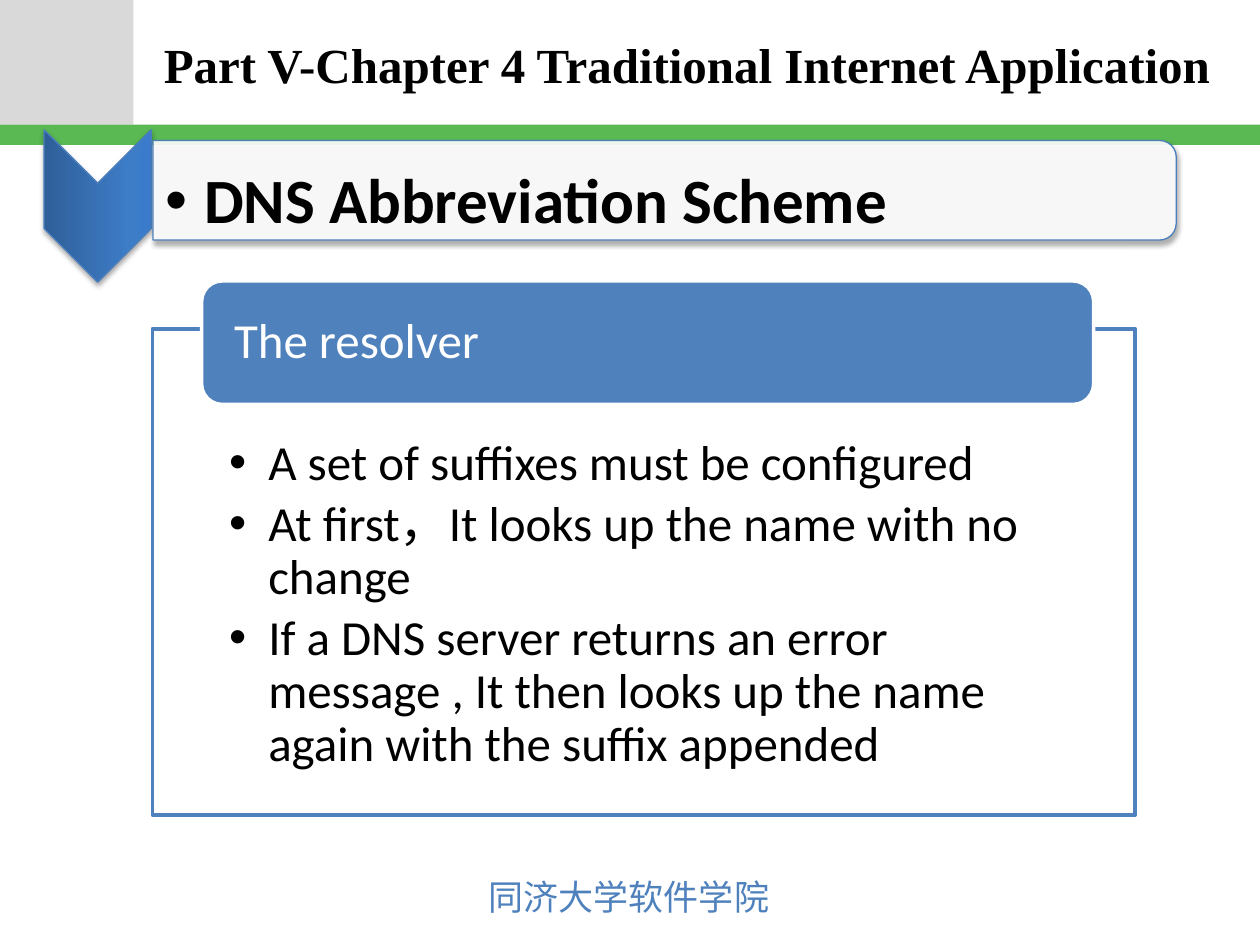
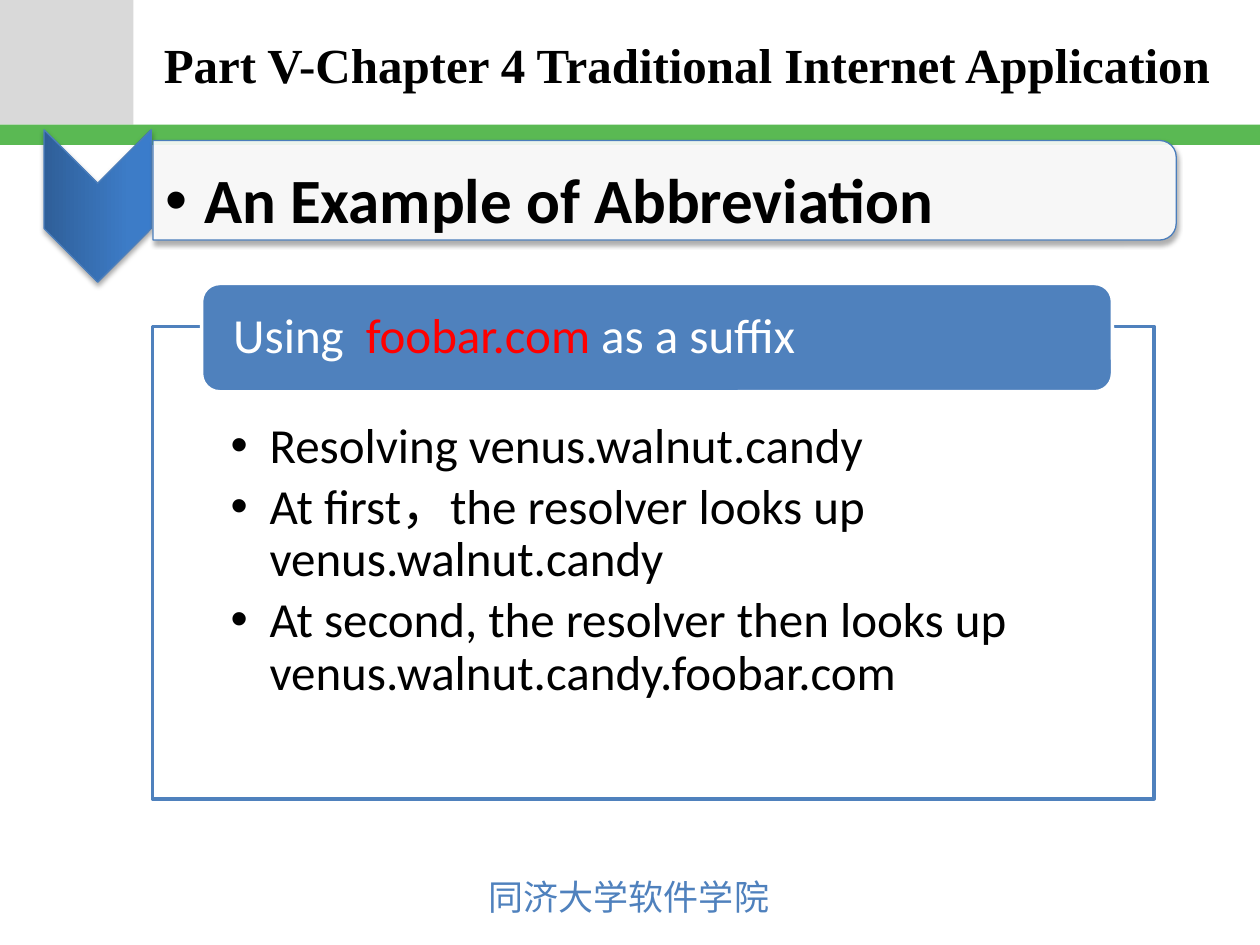
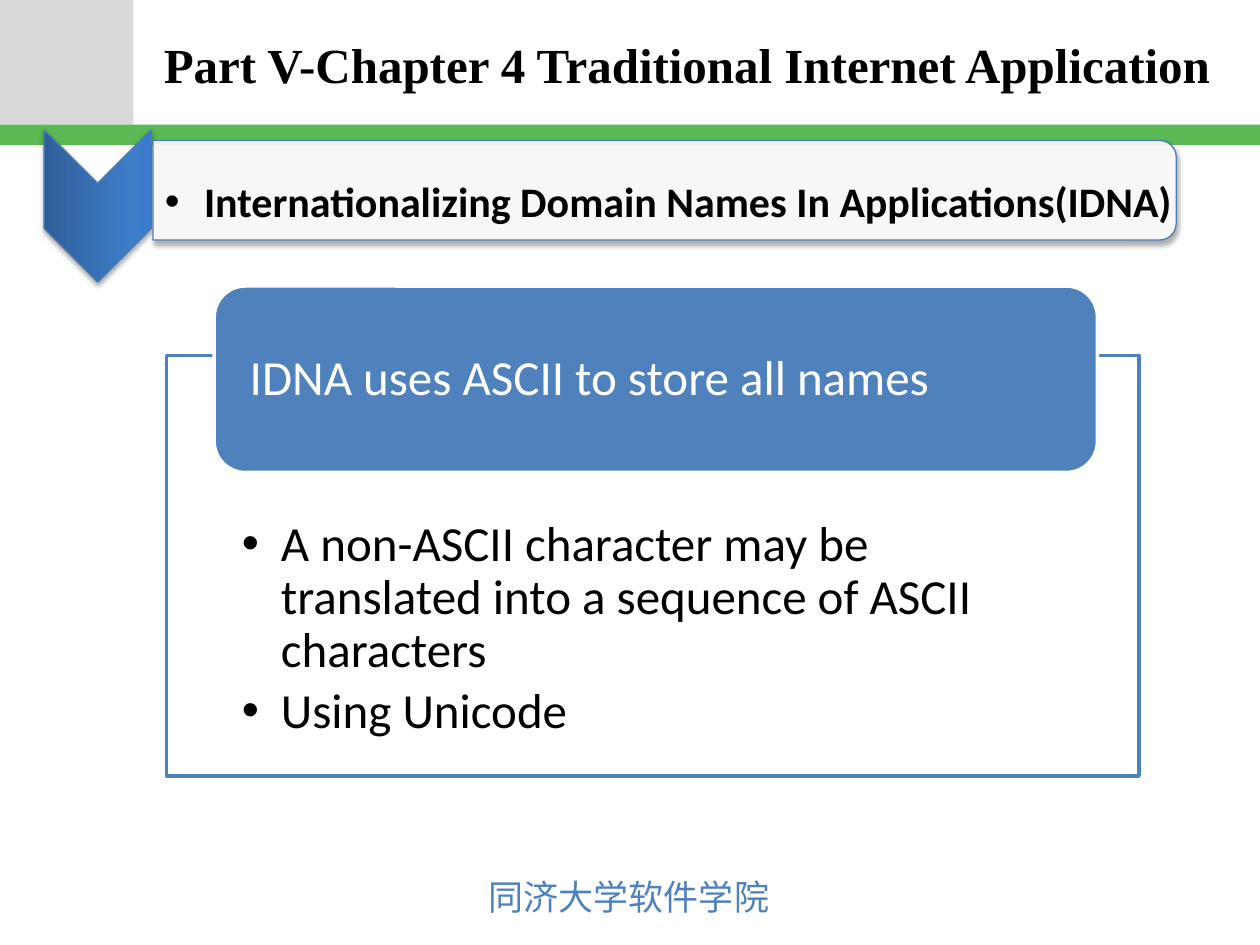
from lxml import etree
from pptx import Presentation
from pptx.dml.color import RGBColor
from pptx.enum.shapes import MSO_SHAPE as Preset
from pptx.enum.text import MSO_ANCHOR as Anchor, PP_ALIGN as Align
from pptx.oxml.ns import qn
from pptx.util import Inches, Pt

COLORS = {
    "white": "FFFFFF", "black": "000000", "red": "FF0000",
    "corner": "D9D9D9", "green": "5AB953", "blue": "4F81BD",
    "edge": "4B7EBC",
}
CHEVRON_STOPS = [(0, "2F5F99"), (80, "3D7CC7"), (100, "3A7CCB")]
BODY_FONT, TITLE_FONT, FOOTER_FONT = "Calibri", "Times New Roman", "Noto Sans CJK JP"
CHAPTER = "Part V-Chapter 4 Traditional Internet Application"
SCHOOL = "同济大学软件学院"


def add_xml(parent, tag, **attributes):
    return etree.SubElement(parent, qn(tag), {k: str(v) for k, v in attributes.items()})


class Deck:
    """Holds the style and the slide being drawn."""

    def __init__(self):
        self.prs = Presentation()
        self.prs.slide_width, self.prs.slide_height = Inches(10), Inches(7.5)
        self.slide = None

    # Basic elements
    def shape(self, preset, box, fill=None, line=None, weight=0.75):
        item = self.slide.shapes.add_shape(preset, *map(Inches, box))
        item.shadow.inherit = False
        if fill:
            item.fill.solid()
            item.fill.fore_color.rgb = RGBColor.from_string(COLORS[fill])
        if line:
            item.line.color.rgb = RGBColor.from_string(COLORS[line])
            item.line.width = Pt(weight)
        else:
            item.line.fill.background()
        return item

    def textbox(self, box):
        return self.slide.shapes.add_textbox(*map(Inches, box))

    def frame(self, holder, insets, anchor, wrap=True):
        text = holder.text_frame
        text.word_wrap, text.vertical_anchor = wrap, anchor
        (text.margin_left, text.margin_top,
         text.margin_right, text.margin_bottom) = map(Inches, insets)
        return text

    def run(self, paragraph, words, size, color="black", font=BODY_FONT, bold=False):
        run = paragraph.add_run()
        run.text = words
        run.font.name, run.font.size, run.font.bold = font, Pt(size), bold
        run.font.color.rgb = RGBColor.from_string(COLORS[color])
        return run

    def bullets(self, text, items, size, bold=False):
        for index, words in enumerate(items):
            paragraph = text.add_paragraph() if index else text.paragraphs[0]
            props = paragraph._p.get_or_add_pPr()
            props.set("marL", str(Inches(0.31)))
            props.set("indent", str(-Inches(0.31)))
            add_xml(props, "a:buFont", typeface="Arial")
            add_xml(props, "a:buChar", char="•")
            paragraph.alignment = Align.LEFT
            paragraph.line_spacing = 0.9
            paragraph.space_after = Pt(4.5)
            self.run(paragraph, words, size, bold=bold)

    # Effects
    def translucent(self, item):
        color = item._element.spPr.find(qn("a:solidFill"))[0]
        add_xml(color, "a:alpha", val=90000)

    def drop_shadow(self, item):
        effects = item._element.spPr.find(qn("a:effectLst"))
        shadow = add_xml(effects, "a:outerShdw", blurRad=Pt(3.1), dist=Pt(1.8),
                         dir=5400000, rotWithShape=0)
        add_xml(add_xml(shadow, "a:srgbClr", val=COLORS["black"]), "a:alpha", val=35000)

    def chevron_gradient(self, item):
        item.fill.gradient()
        item.fill.gradient_angle = 90
        stops = item._element.spPr.find(qn("a:gradFill")).find(qn("a:gsLst"))
        for stop in list(stops):
            stops.remove(stop)
        for position, color in CHEVRON_STOPS:
            add_xml(add_xml(stops, "a:gs", pos=position * 1000), "a:srgbClr", val=color)

    # Slide parts
    def new_slide(self):
        self.slide = self.prs.slides.add_slide(self.prs.slide_layouts[5])
        self.shape(Preset.RECTANGLE, (0, 0, 1.06, 0.99), "corner")
        self.shape(Preset.RECTANGLE, (0, 0.99, 10, 0.16), "green")

        school = self.frame(self.textbox((3.78, 6.9, 2.45, 0.44)),
                            (0.1, 0.05, 0.1, 0.05), Anchor.TOP, wrap=False)
        school_run = self.run(school.paragraphs[0], SCHOOL, 20, "blue", FOOTER_FONT)
        add_xml(school_run.font._element, "a:ea", typeface=FOOTER_FONT)

        title = self.slide.shapes.title
        title.left, title.top, title.width, title.height = map(
            Inches, (1.2, 0.02, 8.6, 0.98))
        heading = self.frame(title, (0.1, 0.05, 0.1, 0.05), Anchor.MIDDLE).paragraphs[0]
        heading.alignment = Align.LEFT
        self.run(heading, CHAPTER, 28, font=TITLE_FONT, bold=True)

    def topic(self, words, size, width):
        chevron = self.shape(Preset.CHEVRON, (0.17, 1.21, 1.21, 0.85), line="edge")
        self.chevron_gradient(chevron)
        bar = self.shape(Preset.ROUND_2_SAME_RECTANGLE, (4.88, -2.55, 0.79, 8.12),
                         "white", "edge")
        self.translucent(bar)
        for part in (chevron, bar):
            part.rotation = 90
            self.drop_shadow(part)
        label = self.frame(self.textbox((1.06, 1.26, width, 0.71)),
                           (0.25, 0.02, 0.02, 0.02), Anchor.MIDDLE)
        self.bullets(label, [words], size, bold=True)

    def panel(self, box, insets, points):
        panel = self.shape(Preset.RECTANGLE, box, "white", "blue", 2)
        self.translucent(panel)
        self.bullets(self.frame(panel, insets, Anchor.TOP), points, 28)

    def panel_header(self, box, runs):
        header = self.shape(Preset.ROUNDED_RECTANGLE, box, "blue", "white", 2)
        paragraph = self.frame(header, (0.21, 0, 0.21, 0), Anchor.MIDDLE).paragraphs[0]
        paragraph.alignment = Align.LEFT
        paragraph.line_spacing = 0.9
        for words, color in runs:
            self.run(paragraph, words, 28, color)


def main():
    deck = Deck()

    # Abbreviation scheme
    deck.new_slide()
    deck.topic("DNS Abbreviation Scheme", 36, 8.08)
    deck.panel((1.21, 2.61, 7.8, 3.86), (0.61, 0.87, 0.61, 0.22), [
        "A set of suffixes must be configured",
        "At first，It looks up the name with no change",
        "If a DNS server returns an error message , It then looks up the name "
        "again with the suffix appended",
    ])
    deck.panel_header((1.6, 2.23, 7.08, 0.98), [("The resolver", "white")])

    # Abbreviation example
    deck.new_slide()
    deck.topic("An Example of Abbreviation", 36, 8.08)
    deck.panel((1.21, 2.59, 7.95, 3.75), (0.62, 0.75, 0.62, 0.22), [
        "Resolving venus.walnut.candy",
        "At first，the resolver looks up venus.walnut.candy",
        "At second, the resolver then looks up venus.walnut.candy.foobar.com",
    ])
    deck.panel_header((1.6, 2.25, 7.23, 0.86), [
        ("Using  ", "white"), ("foobar.com ", "red"), ("as a suffix", "white")])

    # Internationalized names
    deck.new_slide()
    deck.topic("Internationalizing Domain Names In Applications(IDNA)", 24, 8.27)
    deck.panel((1.32, 2.82, 7.72, 3.34), (0.6, 1.3, 0.6, 0.22), [
        "A non-ASCII character may be translated into a sequence of ASCII characters",
        "Using Unicode",
    ])
    deck.panel_header((1.7, 2.27, 7.01, 1.48),
                      [("IDNA uses ASCII to store all names", "white")])

    deck.prs.save("out.pptx")


if __name__ == "__main__":
    main()
